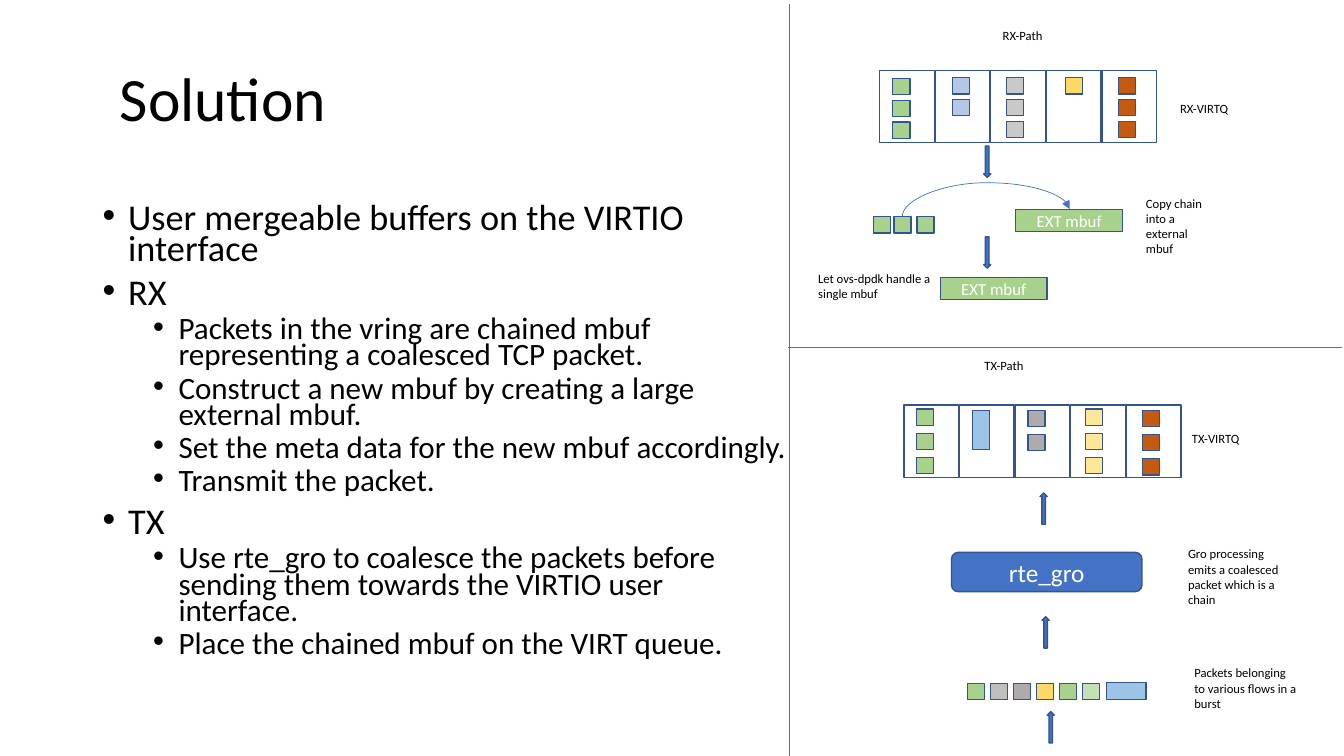
import pptx
import pptx.dml.color
import pptx.enum.shapes
import pptx.enum.text
import pptx.oxml
import pptx.oxml.ns
import pptx.util
from lxml import etree

Cm = pptx.util.Cm
Pt = pptx.util.Pt
RGBColor = pptx.dml.color.RGBColor
SHAPE = pptx.enum.shapes.MSO_SHAPE
CONNECTOR = pptx.enum.shapes.MSO_CONNECTOR
ANCHOR = pptx.enum.text.MSO_ANCHOR
qn = pptx.oxml.ns.qn

BLACK = RGBColor(0x00, 0x00, 0x00)
WHITE = RGBColor(0xFF, 0xFF, 0xFF)
NAVY = RGBColor(0x32, 0x54, 0x91)
BLUE = RGBColor(0x44, 0x72, 0xC4)
SKY = RGBColor(0x9D, 0xC3, 0xE6)
PERIWINKLE = RGBColor(0xB4, 0xC7, 0xE7)
GREEN = RGBColor(0xA9, 0xD1, 0x8E)
PALE_GREEN = RGBColor(0xC5, 0xE0, 0xB4)
LIGHT_GREY = RGBColor(0xC9, 0xC9, 0xC9)
MID_GREY = RGBColor(0xBF, 0xBF, 0xBF)
GREY = RGBColor(0xAF, 0xAB, 0xAB)
YELLOW = RGBColor(0xFF, 0xD9, 0x66)
PALE_YELLOW = RGBColor(0xFF, 0xE6, 0x99)
ORANGE = RGBColor(0xC5, 0x5A, 0x11)

BULLETS = [
    (0, "User mergeable buffers on the VIRTIO interface"),
    (0, "RX"),
    (1, "Packets in the vring are chained mbuf representing a coalesced TCP packet."),
    (1, "Construct a new mbuf by creating a large external mbuf."),
    (1, "Set the meta data for the new mbuf accordingly."),
    (1, "Transmit the packet."),
    (0, "TX"),
    (1, "Use rte_gro to coalesce the packets before sending them towards the VIRTIO user interface."),
    (1, "Place the chained mbuf on the VIRT queue."),
]
LABELS = [
    ("RX-Path", 25.02, 0.58, 1.93, 0.64),
    ("RX-VIRTQ", 29.49, 2.41, 1.93, 0.64),
    ("Copy chain into a external mbuf", 28.63, 4.8, 1.93, 1.8),
    ("Let ovs-dpdk handle a single mbuf", 20.37, 6.71, 3.91, 1.02),
    ("TX-Path", 24.56, 8.89, 1.93, 0.64),
    ("TX-VIRTQ", 29.79, 10.74, 1.93, 0.64),
    ("Gro processing emits a coalesced packet which is a chain", 29.69, 13.64, 3.1, 1.8),
    ("Packets belonging to various flows in a burst", 29.85, 16.64, 3.1, 1.42),
]
RX_CHAINS = [
    (22.5, 1.98, GREEN, 3), (24, 1.96, PERIWINKLE, 2), (25.37, 1.96, LIGHT_GREY, 3),
    (26.85, 1.96, YELLOW, 1), (28.19, 1.96, ORANGE, 3),
]
TX_CHAINS = [
    (23.09, 10.31, GREEN, 3), (25.91, 10.34, GREY, 2),
    (27.36, 10.31, PALE_YELLOW, 3), (28.8, 10.34, ORANGE, 3),
]
BURST = [GREEN, MID_GREY, GREY, YELLOW, GREEN, PALE_GREEN]
ARROWS = [
    (24.79, 3.68, 0), (24.79, 5.97, 0),
    (26.21, 12.42, 180), (26.26, 15.54, 180), (26.39, 17.93, 180),
]


class SlideBuilder:
    font = "Calibri"

    def __init__(self, slide):
        self.slide = slide

    def style(self, paragraph, size, color):
        for run in paragraph.runs:
            run.font.name = self.font
            run.font.size = Pt(size)
            run.font.color.rgb = color

    def text(self, text, left, top, width, height, size, anchor=ANCHOR.TOP):
        box = self.slide.shapes.add_textbox(Cm(left), Cm(top), Cm(width), Cm(height))
        frame = box.text_frame
        frame.word_wrap = True
        frame.vertical_anchor = anchor
        frame.text = text
        for paragraph in frame.paragraphs:
            self.style(paragraph, size, BLACK)
        return frame

    def bullets(self, items, left, top, width, height):
        frame = self.text("\n".join(text for _, text in items), left, top, width, height, 22.2)
        for paragraph, (level, _) in zip(frame.paragraphs, items):
            paragraph.level = level
            paragraph.line_spacing = 0.7
            paragraph.space_before = Pt(5 if level else 10)
            self.style(paragraph, 22.2 if level else 25.9, BLACK)
            properties = paragraph._p.get_or_add_pPr()
            properties.set("marL", str(Cm(1.91 if level else 0.64)))
            properties.set("indent", str(Cm(-0.64)))
            etree.SubElement(properties, qn("a:buFont")).set("typeface", "Arial")
            etree.SubElement(properties, qn("a:buChar")).set("char", "•")

    def shape(self, kind, left, top, width, height, fill, text="", size=12):
        shape = self.slide.shapes.add_shape(kind, Cm(left), Cm(top), Cm(width), Cm(height))
        shape.shadow.inherit = False
        shape.fill.solid()
        shape.fill.fore_color.rgb = fill
        shape.line.color.rgb = NAVY
        shape.line.width = Pt(1)
        if text:
            frame = shape.text_frame
            frame.margin_top = frame.margin_bottom = 0
            frame.vertical_anchor = ANCHOR.MIDDLE
            frame.text = text
            frame.paragraphs[0].alignment = pptx.enum.text.PP_ALIGN.CENTER
            self.style(frame.paragraphs[0], size, WHITE)
        return shape

    def packet(self, left, top, fill):
        self.shape(SHAPE.RECTANGLE, left, top, 0.43, 0.41, fill)

    def queue(self, left, top, chains, pitch):
        for column in range(5):
            self.shape(SHAPE.RECTANGLE, left + 1.4 * column, top, 1.38, 1.83, WHITE)
        for chain_left, chain_top, fill, count in chains:
            for row in range(count):
                self.packet(chain_left, chain_top + pitch * row, fill)

    def arrow(self, left, top, rotation):
        self.shape(SHAPE.DOWN_ARROW, left, top, 0.18, 0.79, BLUE).rotation = rotation

    def line(self, kind, *ends):
        connector = self.slide.shapes.add_connector(kind, *map(Cm, ends))
        connector.line.color.rgb = BLUE
        connector.line.width = Pt(0.5)
        etree.SubElement(connector.element.spPr, qn("a:effectLst"))
        return connector

    def arc(self, *ends):
        connector = self.line(CONNECTOR.CURVE, *ends)
        properties = connector.element.spPr
        properties.find(qn("a:xfrm")).set("rot", "5400000")
        adjustments = properties.find(qn("a:prstGeom")).find(qn("a:avLst"))
        guide = etree.SubElement(adjustments, qn("a:gd"))
        guide.set("name", "adj1")
        guide.set("fmla", "val 469200")
        etree.SubElement(properties.find(qn("a:ln")), qn("a:tailEnd")).set("type", "triangle")


def main():
    presentation = pptx.Presentation()
    presentation.slide_width = Cm(33.87)
    presentation.slide_height = Cm(19.05)
    builder = SlideBuilder(presentation.slides.add_slide(presentation.slide_layouts[6]))

    builder.text("Solution", 2.77, 0.71, 29.21, 3.68, 44, ANCHOR.MIDDLE).paragraphs[0].line_spacing = 0.9
    builder.bullets(BULLETS, 2.34, 5.08, 17.81, 12.09)
    builder.line(CONNECTOR.STRAIGHT, 19.89, 0.1, 19.89, 19.05)
    builder.line(CONNECTOR.STRAIGHT, 19.86, 8.76, 33.81, 8.76)

    builder.queue(22.17, 1.77, RX_CHAINS, 0.55)
    for left in (22.02, 22.53, 23.11):
        builder.packet(left, 5.46, GREEN)
    for left, top in ((25.6, 5.28), (23.7, 6.99)):
        builder.shape(SHAPE.RECTANGLE, left, top, 2.69, 0.56, GREEN, "EXT mbuf")
    builder.arc(24.94, 7.47, 24.76, 3.25)

    builder.queue(22.78, 10.21, TX_CHAINS, 0.61)
    builder.shape(SHAPE.RECTANGLE, 24.51, 10.34, 0.43, 0.99, SKY)
    builder.shape(SHAPE.ROUNDED_RECTANGLE, 23.98, 13.92, 4.8, 0.99, BLUE, "rte_gro", 18)
    for index, fill in enumerate(BURST):
        builder.packet(24.38 + 0.58 * index, 17.22, fill)
    builder.shape(SHAPE.RECTANGLE, 27.89, 17.2, 0.99, 0.43, SKY)

    for label in LABELS:
        builder.text(*label, 9).auto_size = pptx.enum.text.MSO_AUTO_SIZE.SHAPE_TO_FIT_TEXT
    for arrow in ARROWS:
        builder.arrow(*arrow)
    presentation.save("out.pptx")


if __name__ == "__main__":
    main()
